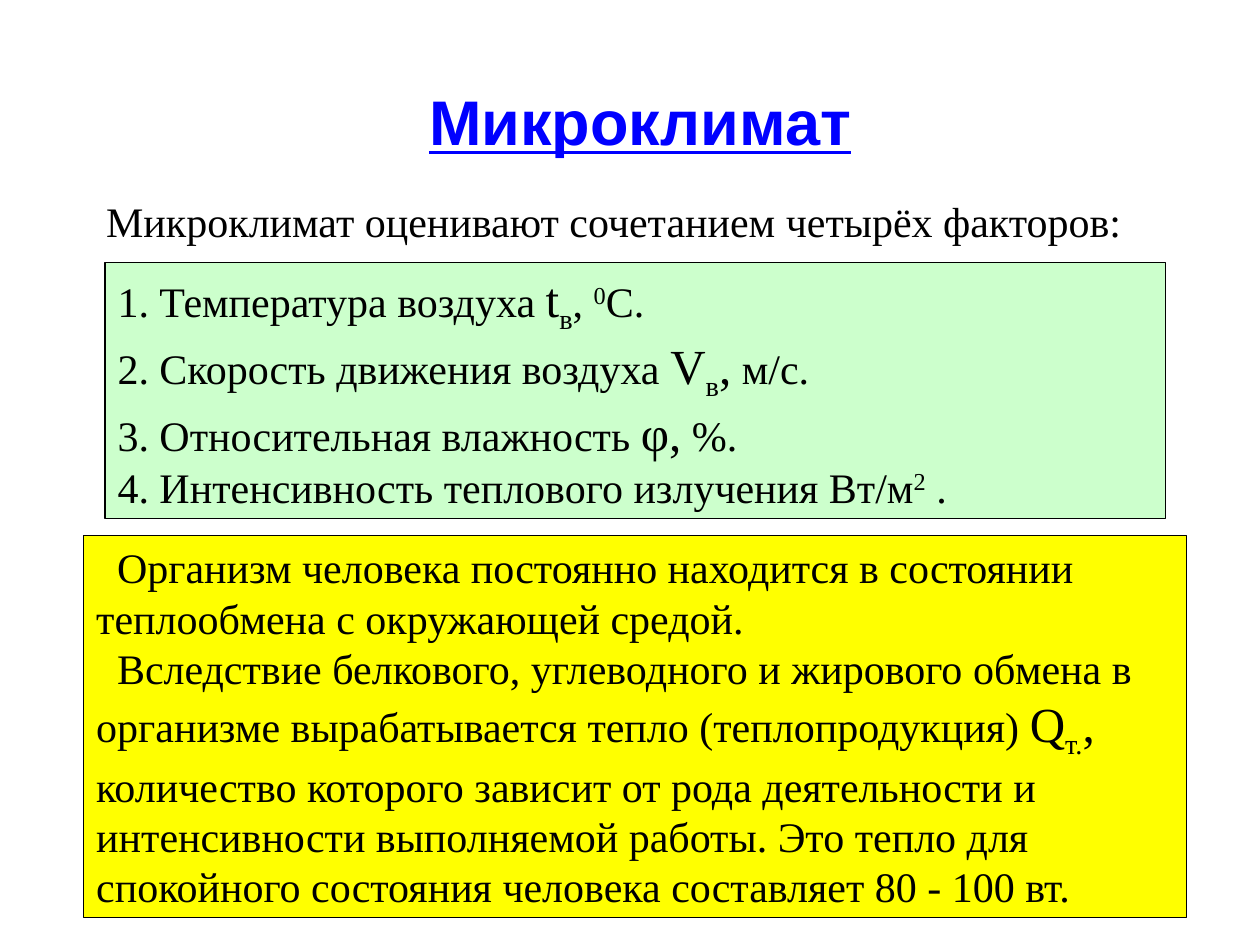
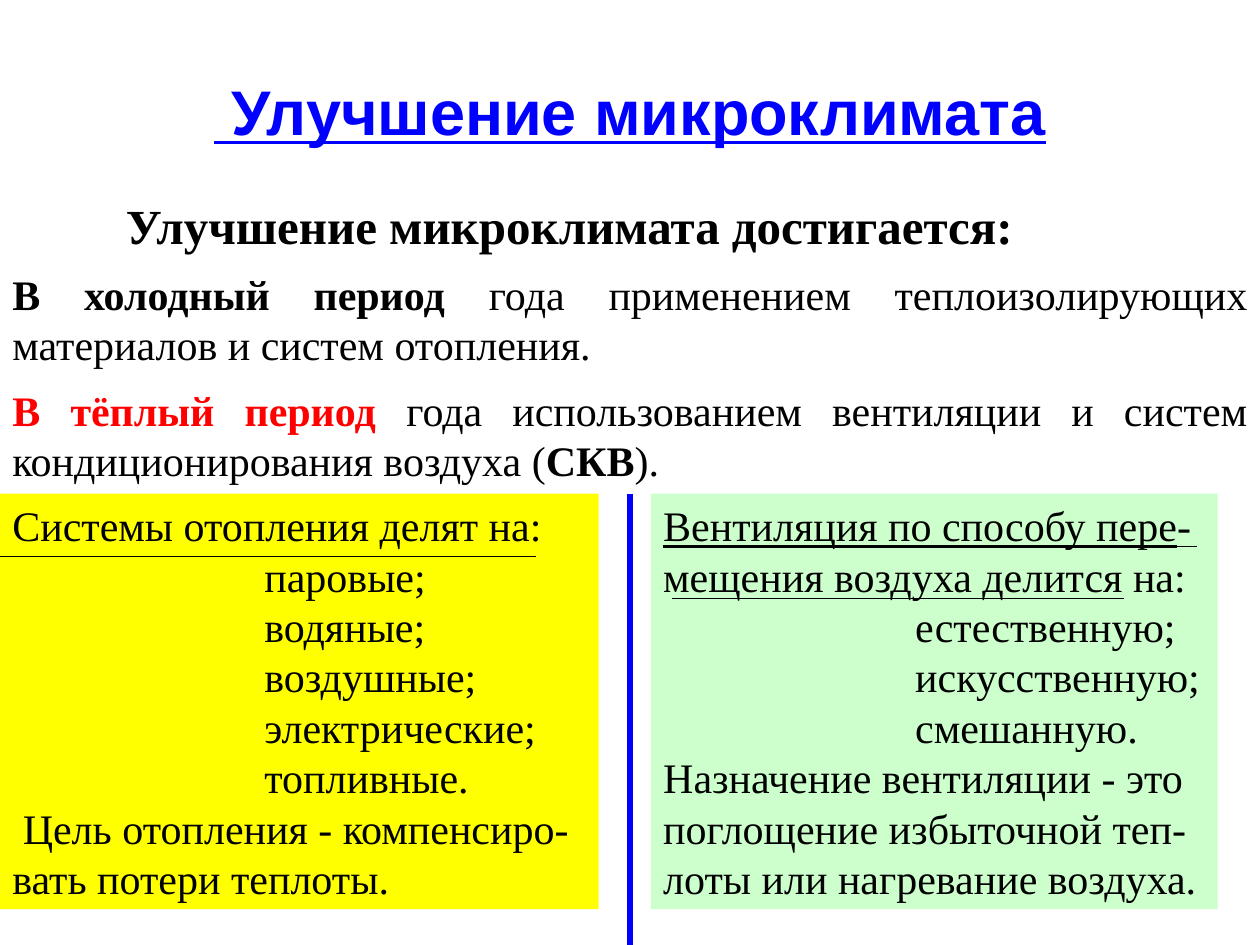
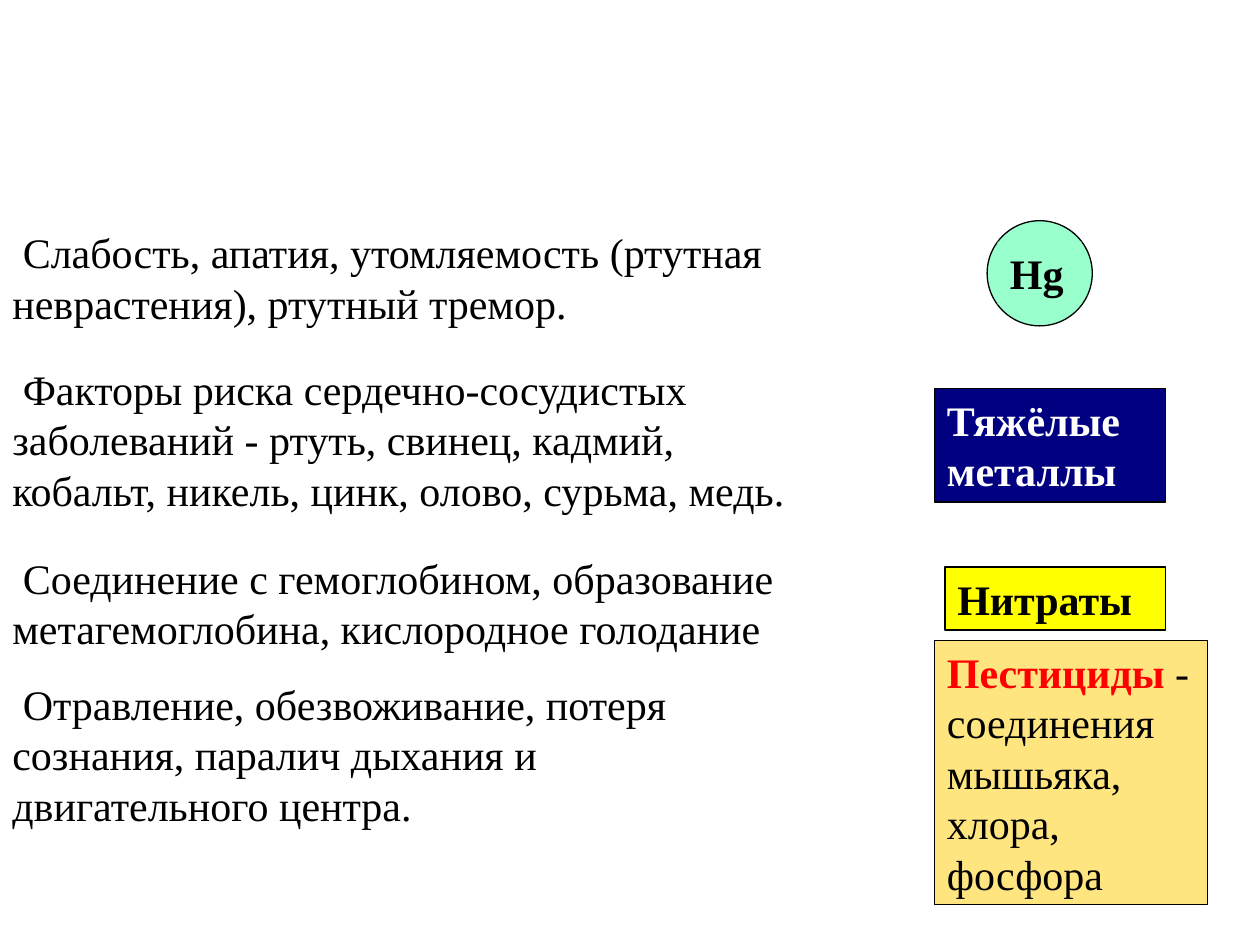
from dataclasses import dataclass
from typing import Optional

from lxml.etree import SubElement
from pptx import Presentation
from pptx.dml.color import RGBColor
from pptx.enum.shapes import MSO_CONNECTOR, MSO_SHAPE
from pptx.enum.text import MSO_ANCHOR, MSO_AUTO_SIZE, PP_ALIGN
from pptx.oxml.ns import qn
from pptx.slide import Slide
from pptx.util import Cm, Pt

BLACK = RGBColor(0x00, 0x00, 0x00)
WHITE = RGBColor(0xFF, 0xFF, 0xFF)
BLUE = RGBColor(0x00, 0x00, 0xFF)
NAVY = RGBColor(0x00, 0x00, 0x80)
RED = RGBColor(0xFF, 0x00, 0x00)
YELLOW = RGBColor(0xFF, 0xFF, 0x00)
GREEN = RGBColor(0xCC, 0xFF, 0xCC)
MINT = RGBColor(0x99, 0xFF, 0xCC)
AMBER = RGBColor(0xFF, 0xCC, 0x00)

TITLE_FONT = "Arial"
BODY_FONT = "Times New Roman"
BODY_SIZE = 24
SYMBOL_SIZE = 28
SUB, SUPER = -25, 30
SPACE = 0.21  # width of one body space, cm
LIST_INDENT = 5.08
PAGE_WIDTH, PAGE_HEIGHT = 25.4, 19.05
TITLE_ONLY, BLANK = 5, 6


@dataclass(frozen=True)
class Span:
    """A piece of text and what sets it apart from its paragraph."""
    text: str
    size: Optional[int] = None
    bold: Optional[bool] = None
    underline: Optional[bool] = None
    color: Optional[RGBColor] = None
    baseline: int = 0


@dataclass(frozen=True)
class Para:
    spans: tuple[Span, ...]
    first_indent: float = 0
    left_indent: float = 0
    align: PP_ALIGN = PP_ALIGN.LEFT
    size: int = BODY_SIZE
    bold: bool = False
    color: RGBColor = BLACK


@dataclass(frozen=True)
class Box:
    """A text panel; lengths in cm."""
    left: float
    top: float
    width: float
    height: float
    paras: tuple[Para, ...] = ()
    fill: Optional[RGBColor] = None
    outlined: bool = False
    opacity: int = 100
    shape: MSO_SHAPE = MSO_SHAPE.RECTANGLE


@dataclass(frozen=True)
class Rule:
    x1: float
    y1: float
    x2: float
    y2: float
    color: RGBColor = BLACK
    width: float = 0.75


def plain(text: str, **style) -> Para:
    return Para((Span(text),), **style)


def listed(*items: str) -> tuple[Para, ...]:
    return tuple(plain(item, left_indent=LIST_INDENT) for item in items)


def symbol(text: str, baseline: int = 0) -> Span:
    return Span(text, size=SYMBOL_SIZE, baseline=baseline)


def write_para(paragraph, para: Para) -> None:
    paragraph.alignment = para.align
    paragraph.font.name = BODY_FONT
    paragraph.font.size = Pt(para.size)
    paragraph.font.bold = para.bold
    paragraph.font.color.rgb = para.color
    if para.first_indent or para.left_indent:
        properties = paragraph._p.get_or_add_pPr()
        properties.set("marL", str(Cm(para.left_indent)))
        properties.set("indent", str(Cm(para.first_indent)))
    for span in para.spans:
        run = paragraph.add_run()
        run.text = span.text
        if span.size:
            run.font.size = Pt(span.size)
        if span.bold is not None:
            run.font.bold = span.bold
        if span.underline:
            run.font.underline = True
        if span.color is not None:
            run.font.color.rgb = span.color
        if span.baseline:
            run._r.get_or_add_rPr().set("baseline", str(span.baseline * 1000))


def draw_box(page: Slide, box: Box) -> None:
    place = [Cm(v) for v in (box.left, box.top, box.width, box.height)]
    if box.fill is None:
        shape = page.shapes.add_textbox(*place)
    else:
        shape = page.shapes.add_shape(box.shape, *place)
        shape.shadow.inherit = False
        shape.fill.solid()
        shape.fill.fore_color.rgb = box.fill
        if box.opacity < 100:
            color = shape._element.spPr.find(qn("a:solidFill"))[0]
            SubElement(color, qn("a:alpha")).set("val", str(box.opacity * 1000))
        if box.outlined:
            shape.line.color.rgb = BLACK
            shape.line.width = Pt(0.75)
        else:
            shape.line.fill.background()
    frame = shape.text_frame
    frame.word_wrap = True
    frame.vertical_anchor = MSO_ANCHOR.TOP
    for index, para in enumerate(box.paras):
        write_para(frame.add_paragraph() if index else frame.paragraphs[0], para)


def draw_rule(page: Slide, rule: Rule) -> None:
    line = page.shapes.add_connector(
        MSO_CONNECTOR.STRAIGHT, Cm(rule.x1), Cm(rule.y1), Cm(rule.x2), Cm(rule.y2))
    line.line.color.rgb = rule.color
    line.line.width = Pt(rule.width)
    SubElement(line._element.spPr, qn("a:effectLst"))


def set_title(page: Slide, text: str, left: float, width: float, height: float) -> None:
    title = page.shapes.title
    title.left, title.top = Cm(left), Cm(1.06)
    title.width, title.height = Cm(width), Cm(height)
    frame = title.text_frame
    frame.text = text
    frame.auto_size = MSO_AUTO_SIZE.NONE
    frame.vertical_anchor = MSO_ANCHOR.MIDDLE
    paragraph = frame.paragraphs[0]
    paragraph.alignment = PP_ALIGN.CENTER
    font = paragraph.font
    font.name, font.size = TITLE_FONT, Pt(36)
    font.bold = font.underline = True
    font.color.rgb = BLUE


# Microclimate factors
FACTORS = (
    Para((Span("1. Температура воздуха "), symbol("t"), symbol("в", SUB),
          Span(", "), Span("0", baseline=SUPER), Span("С."))),
    Para((Span("2. Скорость движения воздуха "), symbol("V"), symbol("в", SUB),
          symbol(","), Span(" м/с."))),
    Para((Span("3. Относительная влажность "), symbol("φ,"), Span(" %."))),
    Para((Span("4. Интенсивность теплового излучения Вт/м"),
          Span("2", baseline=SUPER), Span(" ."))),
)
HEAT_EXCHANGE = (
    plain("Организм человека постоянно находится в состоянии теплообмена "
          "с окружающей средой.", first_indent=2 * SPACE),
    Para((Span("Вследствие белкового, углеводного и жирового обмена в организме "
               "вырабатывается тепло (теплопродукция) "),
          symbol("Q"), symbol("т.", SUB), symbol(","),
          Span(" количество которого зависит от рода деятельности и интенсивности "
               "выполняемой работы. Это тепло для спокойного состояния человека "
               "составляет 80 - 100 вт.")), first_indent=2 * SPACE),
)
FACTOR_BOXES = (
    Box(0, 3.81, 23.92, 1.27, (
        plain("Микроклимат оценивают сочетанием четырёх факторов:",
              first_indent=9 * SPACE),)),
    Box(2.12, 5.29, 21.38, 5.16, FACTORS, GREEN, outlined=True),
    Box(1.69, 10.8, 22.23, 7.7, HEAT_EXCHANGE, YELLOW, outlined=True),
)

# Improving the microclimate
COLUMN_TOP, COLUMN_HEIGHT = 9.95, 8.38
HEATING = (
    plain("Системы отопления делят на:"),
    *listed("паровые;", "водяные;", "воздушные;", "электрические;", "топливные."),
    plain("Цель отопления - компенсиро-", first_indent=SPACE),
    plain("вать потери теплоты."),
)
VENTILATION = (
    Para((Span("Вентиляция по способу пере", underline=True), Span("-"))),
    plain("мещения воздуха делится на:"),
    *listed("естественную;", "искусственную;", "смешанную."),
    plain("Назначение вентиляции - это"),
    plain("поглощение избыточной теп-"),
    plain("лоты или нагревание воздуха."),
)
IMPROVEMENT_BOXES = (
    Box(1.06, 3.81, 23.28, 1.45, (
        plain("Улучшение микроклимата достигается:", size=28, bold=True,
              first_indent=1.23),)),
    Box(0, 5.29, PAGE_WIDTH, 2.29, (
        Para((Span("В холодный период", bold=True),
              Span(" года применением теплоизолирующих материалов "
                   "и систем отопления.")), align=PP_ALIGN.JUSTIFY),)),
    Box(0, 7.62, PAGE_WIDTH, 2.29, (
        Para((Span("В тёплый период", bold=True, color=RED),
              Span(" года использованием вентиляции и систем "
                   "кондиционирования воздуха ("),
              Span("СКВ", bold=True), Span(").")), align=PP_ALIGN.JUSTIFY),)),
    Box(0, COLUMN_TOP, 12.07, COLUMN_HEIGHT, HEATING, YELLOW),
    Box(13.12, COLUMN_TOP, 11.43, COLUMN_HEIGHT, VENTILATION, GREEN),
)
IMPROVEMENT_RULES = (
    Rule(12.7, COLUMN_TOP, 12.7, PAGE_HEIGHT, BLUE, 3),
    Rule(0, 11.22, 10.8, 11.22),
    Rule(13.55, 11.01, 24.13, 11.01),
    Rule(13.55, 12.07, 22.65, 12.07),
)


# Poisons and their effects
def effect(top: float, width: float, height: float, text: str) -> Box:
    return Box(0, top, width, height, (plain(text, first_indent=SPACE),))


POISON_BOXES = (
    effect(4.45, 19.9, 2.29,
           "Слабость, апатия, утомляемость (ртутная неврастения), ртутный тремор."),
    Box(19.9, 4.45, 2.12, 2.12, (), MINT, outlined=True, shape=MSO_SHAPE.OVAL),
    Box(20.11, 4.87, 1.69, 1.27, (plain("Hg", bold=True),), MINT),
    effect(7.2, 16.72, 3.3,
           "Факторы риска сердечно-сосудистых заболеваний - ртуть, свинец, кадмий, "
           "кобальт, никель, цинк, олово, сурьма, медь."),
    Box(18.84, 7.83, 4.66, 2.29,
        (plain("Тяжёлые металлы", bold=True, color=WHITE),), NAVY, outlined=True),
    effect(11.01, 16.51, 2.29,
           "Соединение с гемоглобином, образование метагемоглобина, "
           "кислородное голодание"),
    Box(19.05, 11.43, 4.45, 1.27, (plain("Нитраты", bold=True),), YELLOW,
        outlined=True),
    effect(13.55, 16.09, 3.3,
           "Отравление, обезвоживание, потеря сознания, паралич дыхания "
           "и двигательного центра."),
    Box(18.84, 12.91, 5.5, 5.33, (
        Para((Span("Пестициды", bold=True, color=RED),
              Span(" - соединения мышьяка, хлора, фосфора"))),),
        AMBER, outlined=True, opacity=50),
)


def main() -> None:
    deck = Presentation()
    deck.slide_width, deck.slide_height = Cm(PAGE_WIDTH), Cm(PAGE_HEIGHT)
    layouts = deck.slide_layouts

    factors = deck.slides.add_slide(layouts[TITLE_ONLY])
    set_title(factors, "Микроклимат", 1.69, 22.44, 2.75)
    improvement = deck.slides.add_slide(layouts[TITLE_ONLY])
    set_title(improvement, " Улучшение микроклимата", 1.91, 21.59, 2.33)
    poisons = deck.slides.add_slide(layouts[BLANK])

    for page, boxes in ((factors, FACTOR_BOXES), (improvement, IMPROVEMENT_BOXES),
                        (poisons, POISON_BOXES)):
        for box in boxes:
            draw_box(page, box)
    for rule in IMPROVEMENT_RULES:
        draw_rule(improvement, rule)
    deck.save("out.pptx")


if __name__ == "__main__":
    main()
